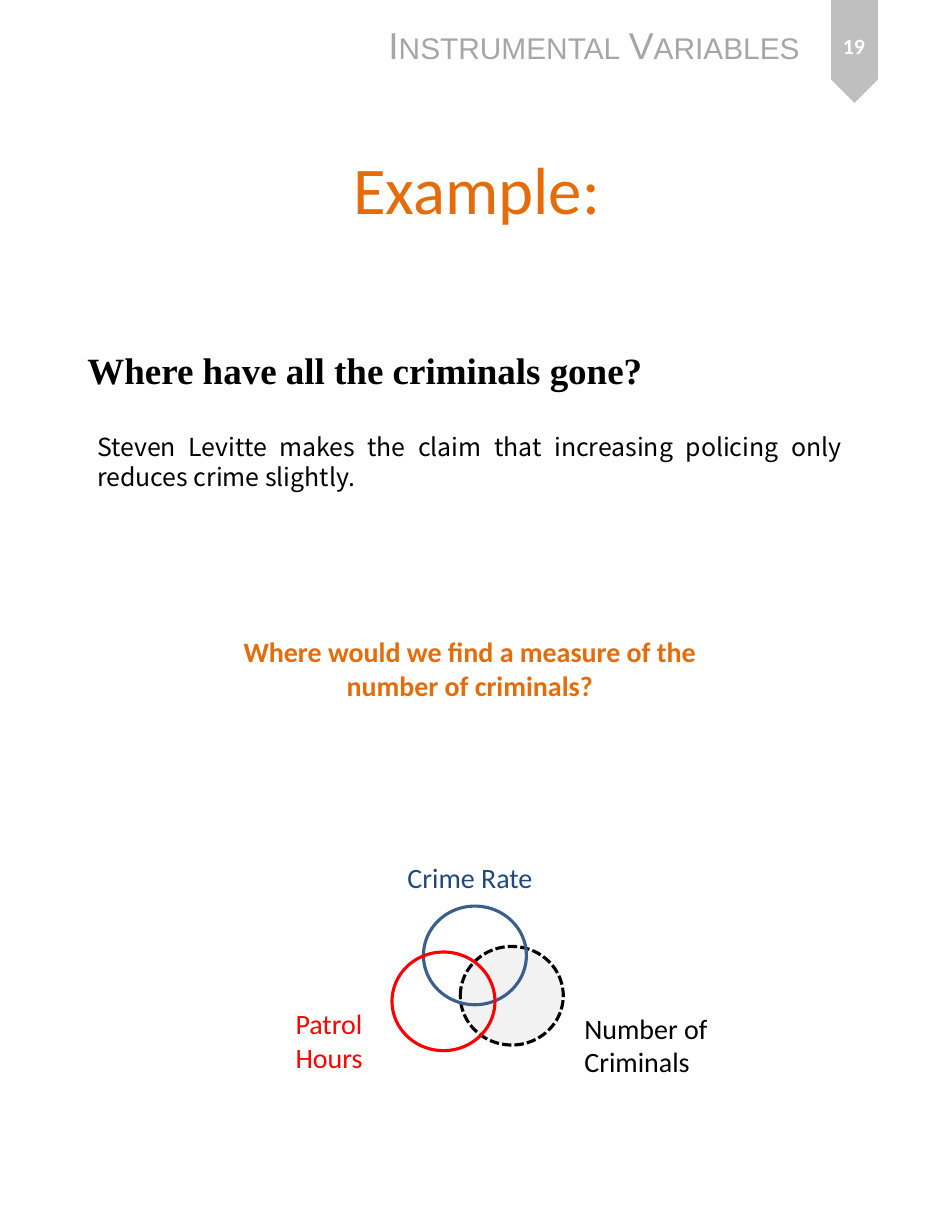
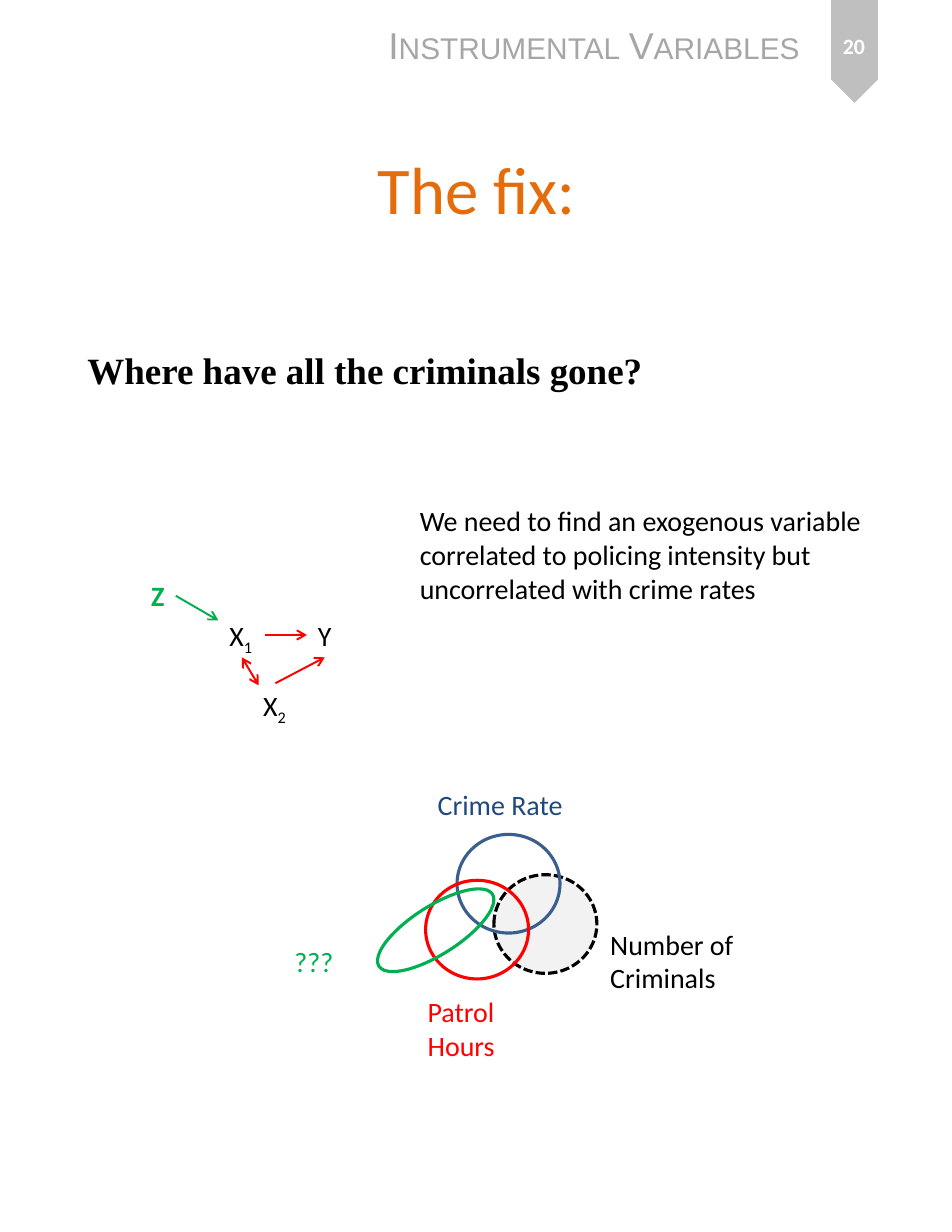
import lxml.etree
import pptx
import pptx.dml.color
import pptx.enum.dml
import pptx.enum.shapes
import pptx.enum.text
import pptx.oxml.ns
import pptx.util

Pt = pptx.util.Pt
RGBColor = pptx.dml.color.RGBColor
ALIGN = pptx.enum.text.PP_ALIGN
ANCHOR = pptx.enum.text.MSO_ANCHOR
SHAPE = pptx.enum.shapes.MSO_SHAPE
qn = pptx.oxml.ns.qn

BLACK = RGBColor(0x00, 0x00, 0x00)
WHITE = RGBColor(0xFF, 0xFF, 0xFF)
BANNER_GRAY = RGBColor(0xBF, 0xBF, 0xBF)
HEADER_GRAY = RGBColor(0xA6, 0xA6, 0xA6)
PALE_GRAY = RGBColor(0xF2, 0xF2, 0xF2)
ORANGE = RGBColor(0xE4, 0x6C, 0x0A)
NAVY = RGBColor(0x1F, 0x49, 0x7D)
BLUE = RGBColor(0x3A, 0x5F, 0x8C)
RED = RGBColor(0xFF, 0x00, 0x00)
GREEN = RGBColor(0x00, 0xB0, 0x50)

CIRCLE = (66.2, 63.4)
COMPARISON_LAYOUT = 4
HEADING, BODY = 1, 3


def place(shape, left, top, width, height):
    shape.left, shape.top = Pt(left), Pt(top)
    shape.width, shape.height = Pt(width), Pt(height)


def write(shape, text, color=BLACK, size=18, font="Calibri", bold=False,
          align=ALIGN.LEFT, anchor=ANCHOR.TOP, wrap=True):
    """Fill a text box or placeholder with one paragraph and return it."""
    frame = shape.text_frame
    frame.word_wrap = wrap
    frame.auto_size = pptx.enum.text.MSO_AUTO_SIZE.NONE
    frame.vertical_anchor = anchor
    frame.text = text
    para = frame.paragraphs[0]
    para.alignment = align
    para.space_before = Pt(0)
    para.font.name = font
    para.font.size = Pt(size)
    para.font.bold = bold
    para.font.color.rgb = color
    return para


def add_text(page, text, left, top, width, height, **style):
    box = page.shapes.add_textbox(Pt(left), Pt(top), Pt(width), Pt(height))
    return write(box, text, **style)


def add_node(page, letter, left, top, subscript="", **style):
    """Add a variable of the causal diagram."""
    width = 30.2 if subscript else 23
    para = add_text(page, letter, left, top, width, 28.8, wrap=False, **style)
    if subscript:
        span = para.add_run()
        span.text = subscript
        span.font._element.set("baseline", "-25000")


def add_arrow(page, start, end, color, both_ends=False):
    arrow = page.shapes.add_connector(
        pptx.enum.shapes.MSO_CONNECTOR.STRAIGHT,
        *(Pt(length) for length in (*start, *end)))
    arrow.line.color.rgb = color
    arrow.line.width = Pt(1.25)
    properties = arrow._element.spPr
    line = properties.find(qn("a:ln"))
    for end_name in ("a:headEnd", "a:tailEnd") if both_ends else ("a:tailEnd",):
        lxml.etree.SubElement(line, qn(end_name), type="arrow")
    lxml.etree.SubElement(properties, qn("a:effectLst"))


def add_shape(page, kind, left, top, width, height, fill=None, line=None):
    shape = page.shapes.add_shape(kind, Pt(left), Pt(top), Pt(width), Pt(height))
    shape.shadow.inherit = False
    if fill is None:
        shape.fill.background()
    else:
        shape.fill.solid()
        shape.fill.fore_color.rgb = fill
    if line is None:
        shape.line.fill.background()
    else:
        shape.line.color.rgb = line
        shape.line.width = Pt(2)
    return shape


def add_venn(page, left, top):
    """Add the three circles; left and top place the patrol hours circle."""
    criminals = add_shape(page, SHAPE.OVAL, left + 43.9, top - 3.6, *CIRCLE,
                          fill=PALE_GRAY, line=BLACK)
    criminals.line.dash_style = pptx.enum.dml.MSO_LINE.SQUARE_DOT
    add_shape(page, SHAPE.OVAL, left + 20.2, top - 29.5, *CIRCLE, line=BLUE)
    add_shape(page, SHAPE.OVAL, left, top, *CIRCLE, line=RED)


def add_venn_labels(page, crime_at, patrol_at, criminals_at):
    add_text(page, "Crime Rate", *crime_at, 100.8, 28.8, color=NAVY)
    add_text(page, "Patrol Hours", *patrol_at, 59, 51, color=RED)
    add_text(page, "Number of\vCriminals", *criminals_at, 102.2, 51)


def add_header(page, number):
    banner = add_shape(page, SHAPE.PENTAGON, 516.2, 18, 66.2, 30.2,
                       fill=BANNER_GRAY)
    banner.rotation = 90
    header = add_text(page, "Instrumental Variables", 242.6, 10.8, 280.1, 36,
                      color=HEADER_GRAY, size=24, font="Arial", wrap=False)
    header.runs[0].font._element.set("cap", "small")
    add_text(page, str(number), 524.9, 7.9, 48.2, 42.5, color=WHITE, size=14,
             bold=True, align=ALIGN.CENTER, anchor=ANCHOR.MIDDLE)


def add_page(deck, number, title, body=None):
    page = deck.slides.add_slide(deck.slide_layouts[COMPARISON_LAYOUT])
    add_header(page, number)
    holders = {holder.placeholder_format.idx: holder
               for holder in page.placeholders}

    place(holders[0], 31, 91.4, 550.8, 131.8)
    write(holders[0], title, color=ORANGE, size=42.9, align=ALIGN.CENTER)
    place(holders[HEADING], 49, 141.1, 519.1, 114.5)
    write(holders[HEADING], "Where have all the criminals gone?", size=23.8,
          font="Times New Roman", bold=True, anchor=ANCHOR.BOTTOM)
    used = {0, HEADING}
    if body:
        place(holders[BODY], 55.4, 222.5, 493.2, 148.3)
        para = write(holders[BODY], body, size=16, font="Noto Sans CJK KR",
                     align=ALIGN.JUSTIFY, anchor=ANCHOR.MIDDLE)
        para.line_spacing = Pt(19.3)
        used.add(BODY)
    for index, holder in holders.items():
        if index not in used:
            holder._element.getparent().remove(holder._element)
    return page


def build_example(deck):
    page = add_page(deck, 19, "Example:",
                    "Steven Levitte makes the claim that increasing policing "
                    "only reduces crime slightly.")
    add_text(page, "Where would we find a measure of the number of criminals?",
             143.3, 404.6, 317.5, 51, color=ORANGE, bold=True,
             align=ALIGN.CENTER)
    add_venn(page, 252, 612)
    add_venn_labels(page, (254.9, 549.4), (182.9, 643.7), (368.6, 646.6))


def build_fix(deck):
    page = add_page(deck, 20, "The fix:")
    add_text(page, "We need to find an exogenous variable correlated to "
             "policing intensity but uncorrelated with crime rates",
             262.8, 320.4, 305.3, 72.7)

    add_node(page, "Z", 90, 368.6, color=GREEN, bold=True)
    add_node(page, "X", 140.4, 393.8, subscript="1")
    add_node(page, "Y", 197.3, 393.8)
    add_node(page, "X", 162, 439.2, subscript="2")
    add_arrow(page, (113, 383), (140.4, 398.9), GREEN)
    add_arrow(page, (170.6, 408.2), (197.3, 408.2), RED)
    add_arrow(page, (177.1, 439.2), (208.8, 422.6), RED)
    add_arrow(page, (155.5, 422.6), (166.3, 440.6), RED, both_ends=True)

    add_venn(page, 273.6, 565.9)
    add_venn_labels(page, (274.3, 502.6), (267.8, 635.8), (385.2, 592.6))
    instrument = add_shape(page, SHAPE.OVAL, 236.9, 582.5, 86.4, 31, line=GREEN)
    instrument.rotation = 327.6
    add_text(page, "???", 182.2, 603.4, 82.1, 28.8, color=GREEN)


def main():
    deck = pptx.Presentation()
    deck.slide_width, deck.slide_height = Pt(612), Pt(792)
    build_example(deck)
    build_fix(deck)
    deck.save("out.pptx")


if __name__ == "__main__":
    main()
